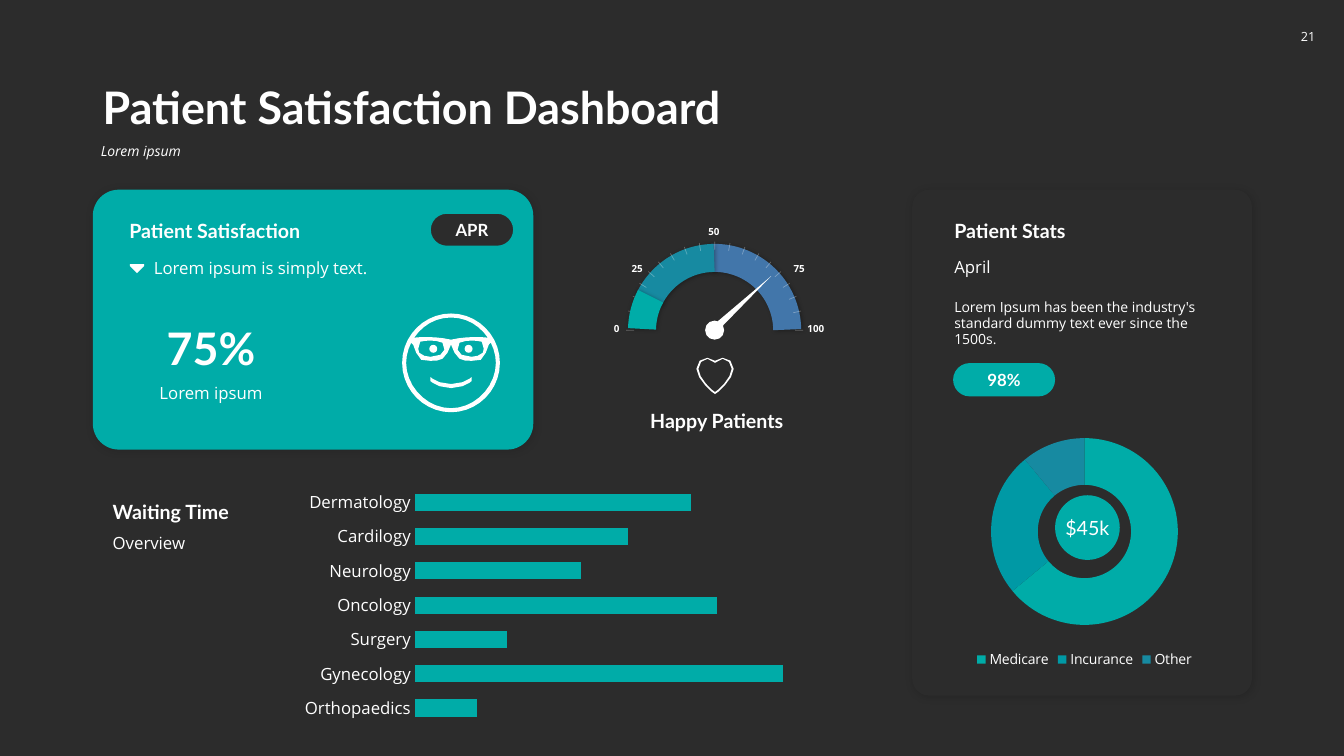
from math import cos, dist, radians, sin

from lxml.etree import SubElement
from pptx import Presentation
from pptx.chart.data import CategoryChartData
from pptx.dml.color import RGBColor
from pptx.enum.chart import XL_CHART_TYPE, XL_LEGEND_POSITION, XL_TICK_MARK
from pptx.enum.shapes import MSO_CONNECTOR, MSO_SHAPE
from pptx.enum.text import MSO_ANCHOR, MSO_AUTO_SIZE, PP_ALIGN
from pptx.oxml.ns import qn
from pptx.util import Cm, Pt

DARK, WHITE, TEAL = "2C2C2C", "FFFFFF", "00ACA8"
LEFT, CENTER, RIGHT = PP_ALIGN.LEFT, PP_ALIGN.CENTER, PP_ALIGN.RIGHT
TOP, MIDDLE, BOTTOM = MSO_ANCHOR.TOP, MSO_ANCHOR.MIDDLE, MSO_ANCHOR.BOTTOM
HEAD, BODY = "Lato", "Open Sans"

# Icon outlines in steps of 0.0254 cm: a start point, then three points per curve.
LENS = [(480, 346), (480, 347), (479, 349), (479, 350), (477, 353), (476, 353), (474, 353),
        (472, 354), (470, 354), (468, 354), (463, 354), (460, 353), (458, 352),
        (456, 351), (455, 348), (454, 347), (454, 346), (451, 341), (456, 340),
        (460, 338), (465, 338), (467, 338), (469, 338), (476, 338), (478, 339),
        (481, 341), (480, 345), (480, 346)]
FACE_RIM = [(447.5, 409), (474, 409), (496, 387), (496, 360), (496, 333), (474, 311), (447.5, 311)]
FOREHEAD = [(447.5, 337), (460, 334), (475, 334), (484, 335), (476, 323), (463, 315), (447.5, 315)]
CHEEKS = [(447.5, 405), (471, 405), (492, 384), (492, 360), (492, 353), (490, 346), (487, 340),
          (485, 341), (485, 342), (485, 342), (485, 342), (484, 344), (482, 350),
          (481, 356), (477, 357), (477, 357), (477, 357), (472, 358), (468, 358),
          (463, 358), (460, 358), (456, 356), (453, 355), (451, 350), (451, 350),
          (451, 350), (449, 346), (448, 343), (448, 342), (448, 342), (447.5, 342)]
SMILE = [(447.5, 385), (461, 385), (468, 378), (468, 378), (468, 378), (468, 374), (468, 374),
         (468, 374), (461, 381), (447.5, 381)]
HEART_RIM = [(709.5, 391), (711, 391), (728, 376), (728, 366), (728, 359), (723, 355), (717, 355),
             (714, 355), (711, 356), (709.5, 358)]
HEART_HOLE = [(709.5, 389), (712, 388), (726, 375), (726, 366), (726, 361), (722, 356), (717, 356),
              (715, 356), (712, 357), (709.5, 360)]
MARKER = [(136, 271), (136.5, 271), (136.5, 270), (137, 270), (137, 270), (143, 264), (143, 264),
          (144, 263), (144, 262), (143, 262), (143, 262), (136, 262), (136, 262)]


def rgb(value):
    return RGBColor.from_string(value)


def box(*lengths):
    return [Cm(v) for v in lengths]


def style_font(font, size, name, color=WHITE, bold=False, italic=False):
    font.size, font.name, font.bold, font.italic = Pt(size), name, bold, italic
    font.color.rgb = rgb(color)


def set_text(sp, text, size, name, align, anchor, bold=False, italic=False, wrap=True, spacing=None):
    tf = sp.text_frame
    tf.word_wrap, tf.vertical_anchor = wrap, anchor
    p = tf.paragraphs[0]
    p.text, p.alignment = text, align
    if spacing:
        p.line_spacing = spacing
    style_font(p.runs[0].font, size, name, WHITE, bold, italic)


def add_text(shapes, at, text, size, name=BODY, align=LEFT, anchor=TOP, **options):
    sp = shapes.add_textbox(*box(*at))
    set_text(sp, text, size, name, align, anchor, **options)
    if not options.get("wrap", True):
        sp.text_frame.auto_size = MSO_AUTO_SIZE.SHAPE_TO_FIT_TEXT


def add_shadow(sp, alpha, blur, offset):
    effects = sp._element.spPr.find(qn("a:effectLst"))
    outer = SubElement(effects, qn("a:outerShdw"), blurRad=str(Pt(blur)), dist=str(Pt(offset)),
                       dir="2700000", algn="ctr", rotWithShape="0")
    color = SubElement(outer, qn("a:srgbClr"), val="000000")
    SubElement(color, qn("a:alpha"), val=str(alpha * 1000))


def add_filled(shapes, kind, at, fill=WHITE, radius=None, shadow=None):
    sp = shapes.add_shape(kind, *box(*at))
    sp.shadow.inherit = False
    sp.fill.solid()
    sp.fill.fore_color.rgb = rgb(fill)
    sp.line.fill.background()
    if radius is not None:
        sp.adjustments[0] = radius
    if shadow:
        add_shadow(sp, *shadow)
    return sp


def add_badge(shapes, kind, at, fill, text, size, name, bold=False, **options):
    sp = add_filled(shapes, kind, at, fill, **options)
    tf = sp.text_frame
    tf.margin_left = tf.margin_right = tf.margin_top = tf.margin_bottom = 0
    set_text(sp, text, size, name, CENTER, MIDDLE, bold, wrap=False)
    return sp


def flatten(curve):
    """Turn the curves into points, more of them on longer curves."""
    points = [curve[0]]
    for i in range(0, len(curve) - 1, 3):
        corners = curve[i:i + 4]
        steps = max(1, round(dist(corners[0], corners[3]) / 7))
        for t in (k / steps for k in range(1, steps + 1)):
            weights = ((1 - t) ** 3, 3 * t * (1 - t) ** 2, 3 * t * t * (1 - t), t ** 3)
            points.append(tuple(sum(w * c[axis] for w, c in zip(weights, corners)) for axis in (0, 1)))
    return points


def mirror(points, axis):
    return [(2 * axis - x, y) for x, y in points]


def add_icon(shapes, halves, pairs=()):
    """Draw halves completed by their mirror image, and closed pairs set on both sides."""
    axis = halves[0][0][0]
    outlines = []
    for half in map(flatten, halves):
        outlines.append(half + mirror(half, axis)[-2:0:-1])
    for curve in map(flatten, pairs):
        outlines += [curve[:-1], mirror(curve[:-1], axis)]
    unit = Cm(0.0254)
    outlines = [[(x * unit, y * unit) for x, y in outline] for outline in outlines]
    builder = shapes.build_freeform(*outlines[0][0])
    for i, outline in enumerate(outlines):
        if i:
            builder.move_to(*outline[0])
        builder.add_line_segments(outline[1:], close=True)
    sp = builder.convert_to_shape()
    sp.shadow.inherit = False
    sp.fill.solid()
    sp.fill.fore_color.rgb = rgb(WHITE)
    sp.line.fill.background()


def add_arc(shapes, start, end, color):
    sp = shapes.add_shape(MSO_SHAPE.ARC, *box(16.18, 6.5, 3.66, 3.66))
    sp.shadow.inherit = False
    sp.adjustments[0], sp.adjustments[1] = start * 0.6, end * 0.6
    sp.fill.background()
    sp.line.color.rgb, sp.line.width = rgb(color), Pt(20)
    add_shadow(sp, 30, 3, 1)


def add_tick(shapes, angle):
    dx, dy = cos(radians(angle)), sin(radians(angle))
    ends = [v for r in (2.23, 2.03) for v in (18.01 + r * dx, 8.32 - r * dy)]
    line = shapes.add_connector(MSO_CONNECTOR.STRAIGHT, *box(*ends))
    line.line.color.rgb, line.line.width = rgb(WHITE), Pt(0.5)
    color = line._element.spPr.find(".//" + qn("a:srgbClr"))
    SubElement(color, qn("a:alpha"), val="30000")
    SubElement(line._element.spPr, qn("a:effectLst"))


def add_gauge(shapes):
    add_arc(shapes, 267.6, 359.3, "4276AA")
    add_arc(shapes, 206.5, 269.6, "178AA1")
    add_filled(shapes, MSO_SHAPE.OVAL, (17.77, 8.08, 0.48, 0.48))
    quarter = (0, 12.5, 22.5, 32, 41.5, 50.5, 60, 70, 80)
    for angle in (*quarter, 90, *(180 - a for a in quarter)):
        add_tick(shapes, angle)
    for text, x, y, w, align in (("0", 15.2, 8, 0.66, RIGHT), ("25", 15.66, 6.48, 0.79, RIGHT),
                                 ("50", 17.59, 5.56, 0.79, RIGHT), ("75", 19.75, 6.48, 0.79, LEFT),
                                 ("100", 20.1, 8, 1.14, LEFT)):
        add_text(shapes, (x, y, w, 0.56), text, 7, align=align, anchor=MIDDLE, bold=True, wrap=False)
    add_arc(shapes, 181.3, 208.2, TEAL)


def add_face(shapes):
    add_icon(shapes, [SMILE])
    add_icon(shapes, [FACE_RIM, FOREHEAD, CHEEKS], [LENS])
    for x in (10.82, 11.71):
        add_filled(shapes, MSO_SHAPE.OVAL, (x, 8.69, 0.2, 0.2))


def add_chart(shapes, kind, at, size, values):
    data = CategoryChartData()
    data.categories = list(values)
    data.add_series("Series 1", list(values.values()))
    chart = shapes.add_chart(kind, *box(*at), data).chart
    chart.has_title = chart.has_legend = False
    style_font(chart.font, size, BODY)
    return chart


def add_waiting_bars(shapes):
    chart = add_chart(shapes, XL_CHART_TYPE.BAR_CLUSTERED, (7.4, 12.1, 14.2, 6.3), 12,
                      {"Dermatology": 75, "Cardilogy": 58, "Neurology": 45, "Oncology": 82,
                       "Surgery": 25, "Gynecology": 100, "Orthopaedics": 17})
    plot, cats, vals = chart.plots[0], chart.category_axis, chart.value_axis
    plot.gap_width, plot.vary_by_categories = 100, False
    plot.series[0].format.fill.solid()
    plot.series[0].format.fill.fore_color.rgb = rgb(TEAL)
    cats.reverse_order, cats.major_tick_mark = True, XL_TICK_MARK.NONE
    cats.format.line.fill.background()
    style_font(cats.tick_labels.font, 12, BODY)
    vals.visible = vals.has_major_gridlines = False
    vals.minimum_scale, vals.maximum_scale = 0, 117


def add_payer_ring(shapes):
    chart = add_chart(shapes, XL_CHART_TYPE.DOUGHNUT, (23.34, 10.69, 7.98, 6.27), 10,
                      {"Medicare": 64, "Incurance": 25, "Other": 11})
    chart.has_legend = True
    chart.legend.position, chart.legend.include_in_layout = XL_LEGEND_POSITION.BOTTOM, False
    style_font(chart.legend.font, 10, BODY)
    for i, color in enumerate((TEAL, "0099A5", "178AA1")):
        point = chart.plots[0].series[0].points[i].format
        point.fill.solid()
        point.fill.fore_color.rgb = rgb(color)
        point.line.fill.background()
    chart._chartSpace.find(".//" + qn("c:holeSize")).set("val", "75")


def main():
    prs = Presentation()
    prs.slide_width, prs.slide_height = box(33.87, 19.05)
    s = prs.slides.add_slide(prs.slide_layouts[6])
    s.background.fill.solid()
    s.background.fill.fore_color.rgb = rgb(DARK)
    shapes, card, oval = s.shapes, MSO_SHAPE.ROUNDED_RECTANGLE, MSO_SHAPE.OVAL
    heading = {"name": HEAD, "bold": True, "anchor": BOTTOM}

    add_text(shapes, (2.34, 1.47, 29.21, 2.03), "Patient Satisfaction Dashboard", 32, spacing=0.9, **heading)
    add_text(shapes, (2.29, 3.51, 29.26, 0.91), "Lorem ipsum", 10, italic=True, spacing=0.9)
    add_badge(shapes, card, (32.51, 0.47, 0.91, 0.89), DARK, "21", 9, BODY, radius=0.27)

    add_filled(shapes, card, (2.34, 4.78, 11.1, 6.55), TEAL, 0.1, (15, 6, 1))
    add_text(shapes, (3.25, 7.92, 4.14, 1.63), "75%", 32, align=CENTER, **heading)
    add_text(shapes, (3.25, 9.53, 4.14, 0.76), "Lorem ipsum", 12, align=CENTER)
    month = add_badge(shapes, card, (10.84, 5.37, 2.11, 0.84), DARK, "APR", 12, HEAD, True, radius=0.5)
    month.line.color.rgb, month.line.width = rgb(TEAL), Pt(1)
    add_text(shapes, (3.01, 5.38, 6.38, 0.86), "Patient Satisfaction", 14, **heading)
    add_text(shapes, (3.63, 6.37, 9.32, 0.76), "Lorem ipsum is simply text.", 12)
    add_icon(shapes, [MARKER])
    add_face(shapes.add_group_shape().shapes)

    add_gauge(shapes.add_group_shape().shapes)
    add_text(shapes, (14.71, 10.16, 6.71, 0.86), "Happy Patients", 14, HEAD, CENTER, MIDDLE, bold=True)
    add_filled(shapes, MSO_SHAPE.ISOSCELES_TRIANGLE, (18.57, 6.63, 0.2, 2.08)).rotation = 47
    add_icon(shapes, [HEART_RIM, HEART_HOLE])

    add_text(shapes, (2.59, 12.45, 7.26, 0.86), "Waiting Time", 14, **heading)
    add_text(shapes, (2.59, 13.31, 7.26, 0.76), "Overview", 12)
    add_waiting_bars(shapes)

    add_filled(shapes, card, (22.99, 4.78, 8.56, 12.75), DARK, 0.05, (15, 6, 1))
    add_text(shapes, (23.8, 5.38, 7.52, 0.86), "Patient Stats", 14, **heading)
    add_text(shapes, (23.8, 6.35, 7.52, 0.76), "April", 12)
    add_badge(shapes, card, (24.02, 9.15, 2.57, 0.84), TEAL, "98%", 12, HEAD, True, radius=0.5)
    add_text(shapes, (23.8, 7.42, 7.52, 1.12), "Lorem Ipsum has been the industry's standard dummy text "
             "ever since the 1500s.", 10, spacing=0.95)
    add_payer_ring(shapes)
    add_badge(shapes, oval, (26.59, 12.48, 1.63, 1.63), TEAL, "$45k", 14, HEAD)
    prs.save("out.pptx")


if __name__ == "__main__":
    main()
